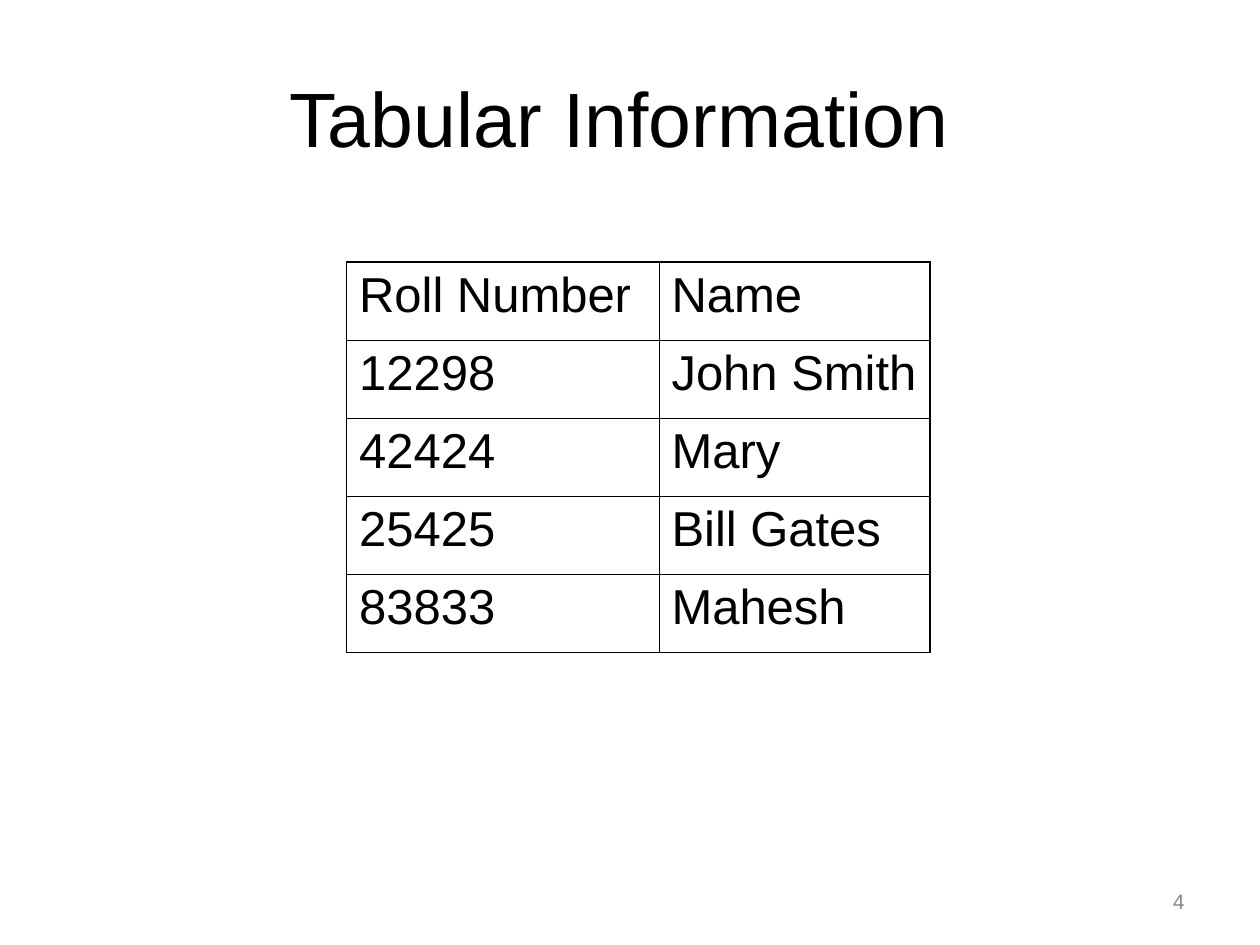
import pptx
import pptx.dml.color
import pptx.enum.text
import pptx.oxml
import pptx.oxml.ns
import pptx.util
from lxml import etree

COLORS = {"text": "000000", "line": "000000", "number": "898989", "back": "FFFFFF"}
FONT = "Arial"
OUTER, INNER = 1.08, 0.45  # border widths in points
ALIGN = pptx.enum.text.PP_ALIGN
MIDDLE = pptx.enum.text.MSO_ANCHOR.MIDDLE

ROWS = [
    ("Roll Number", "Name"),
    ("12298", "John Smith"),
    ("42424", "Mary"),
    ("25425", "Bill Gates"),
    ("83833", "Mahesh"),
]


class Deck:
    """Holds the style and the current slide; lengths are grid units of 1 inch."""

    def __init__(self, cols=10, rows=7.5):
        self.prs = pptx.Presentation()
        self.prs.slide_width = pptx.util.Inches(cols)
        self.prs.slide_height = pptx.util.Inches(rows)
        self.s = self.prs.slides.add_slide(self.prs.slide_layouts[5])
        fill = self.s.background.fill
        fill.solid()
        fill.fore_color.rgb = self.color("back")

    def color(self, name):
        return pptx.dml.color.RGBColor.from_string(COLORS[name])

    def box(self, *units):
        return [pptx.util.Inches(u) for u in units]

    def add_text(self, tf, text, size, color="text", align=ALIGN.LEFT, before=0):
        tf.word_wrap = True
        p = tf.paragraphs[0]
        p.alignment = align
        p.space_before = pptx.util.Pt(before)
        r = p.add_run()
        r.text = text
        r.font.name = FONT
        r.font.size = pptx.util.Pt(size)
        r.font.color.rgb = self.color(color)

    def title(self, text, at):
        sp = self.s.shapes.title
        sp.left, sp.top, sp.width, sp.height = self.box(*at)
        sp.text_frame.vertical_anchor = MIDDLE
        self.add_text(sp.text_frame, text, 44, align=ALIGN.CENTER)

    def text_box(self, text, at, size, color, align):
        tf = self.s.shapes.add_textbox(*self.box(*at)).text_frame
        tf.vertical_anchor = MIDDLE
        self.add_text(tf, text, size, color, align)

    def borders(self, cell, widths):
        tc_pr = cell._tc.get_or_add_tcPr()
        for i, (side, width) in enumerate(zip("LRTB", widths)):
            ln = etree.Element(pptx.oxml.ns.qn(f"a:ln{side}"), w=str(pptx.util.Pt(width)))
            fill = etree.SubElement(ln, pptx.oxml.ns.qn("a:solidFill"))
            etree.SubElement(fill, pptx.oxml.ns.qn("a:srgbClr"), val=COLORS["line"])
            tc_pr.insert(i, ln)

    def table(self, rows, left, top, widths, row_height):
        n_rows, n_cols = len(rows), len(widths)
        at = self.box(left, top, sum(widths), n_rows * row_height)
        table = self.s.shapes.add_table(n_rows, n_cols, *at).table
        table.first_row = table.horz_banding = False
        for col, width in zip(table.columns, widths):
            col.width = pptx.util.Inches(width)
        for i, row in enumerate(rows):
            table.rows[i].height = pptx.util.Inches(row_height)
            for j, text in enumerate(row):
                cell = table.cell(i, j)
                cell.fill.background()
                self.add_text(cell.text_frame, text, 28, before=7)
                # Heavier line around the outside of the table
                edges = (j == 0, j == n_cols - 1, i == 0, i == n_rows - 1)
                self.borders(cell, [OUTER if edge else INNER for edge in edges])


def main():
    deck = Deck()
    # Title
    deck.title("Tabular Information ", (0.5, 0.3, 9, 1.25))
    # Roll number table
    deck.table(ROWS, 2.75, 2.08, (2.48, 2.15), 0.62)
    # Slide number
    deck.text_box("4", (7.17, 6.95, 2.33, 0.4), 12, "number", ALIGN.RIGHT)
    deck.prs.save("out.pptx")


if __name__ == "__main__":
    main()
